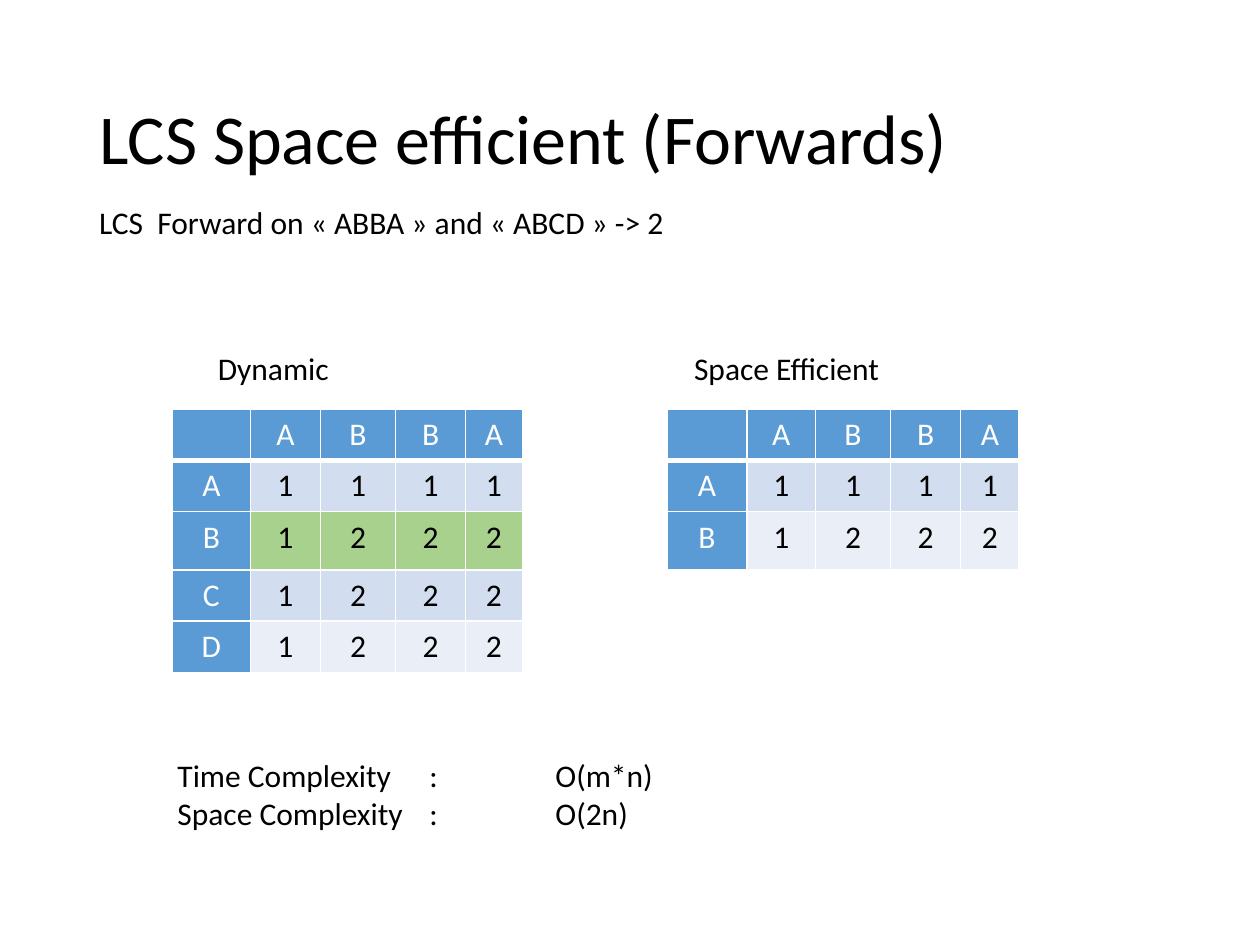
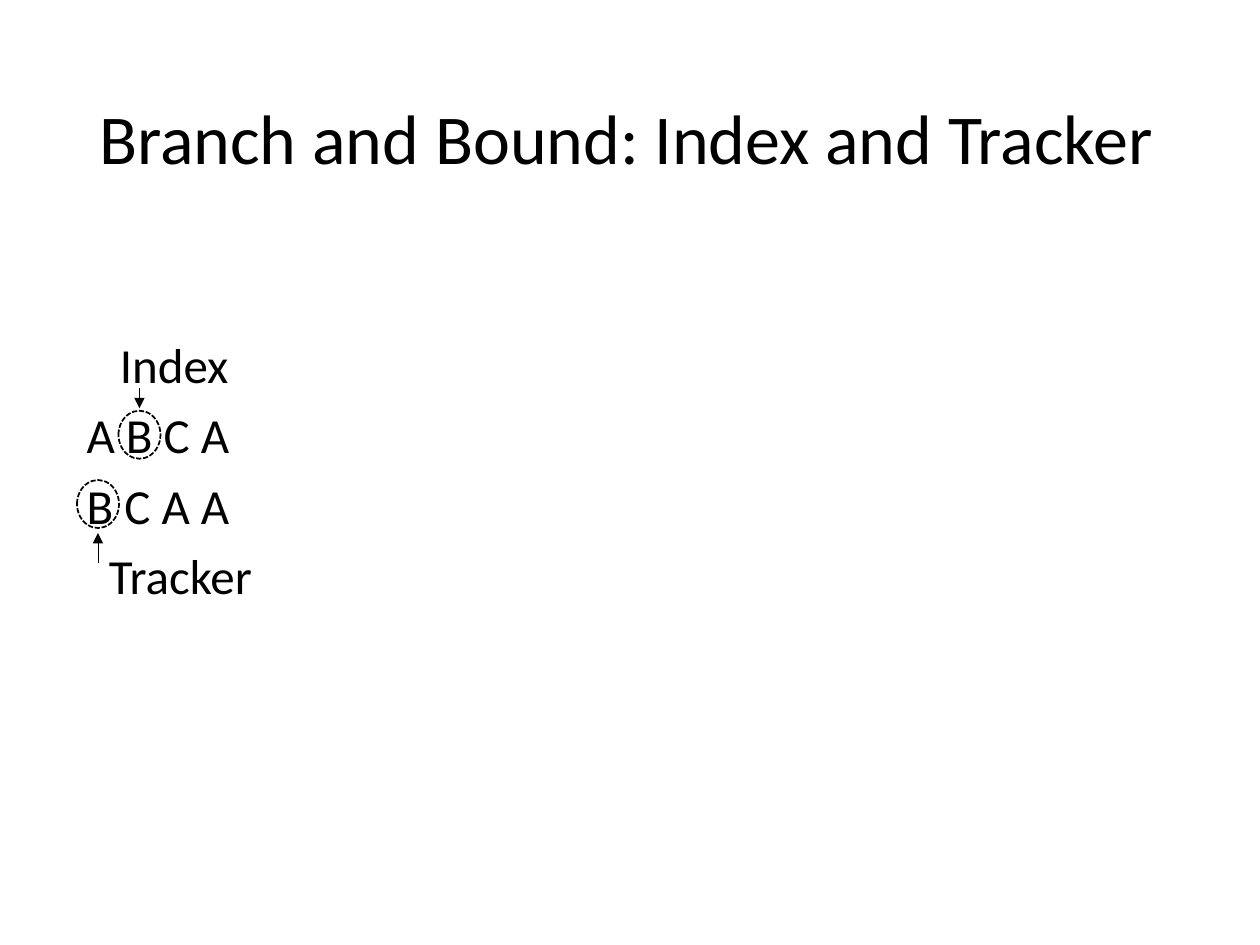
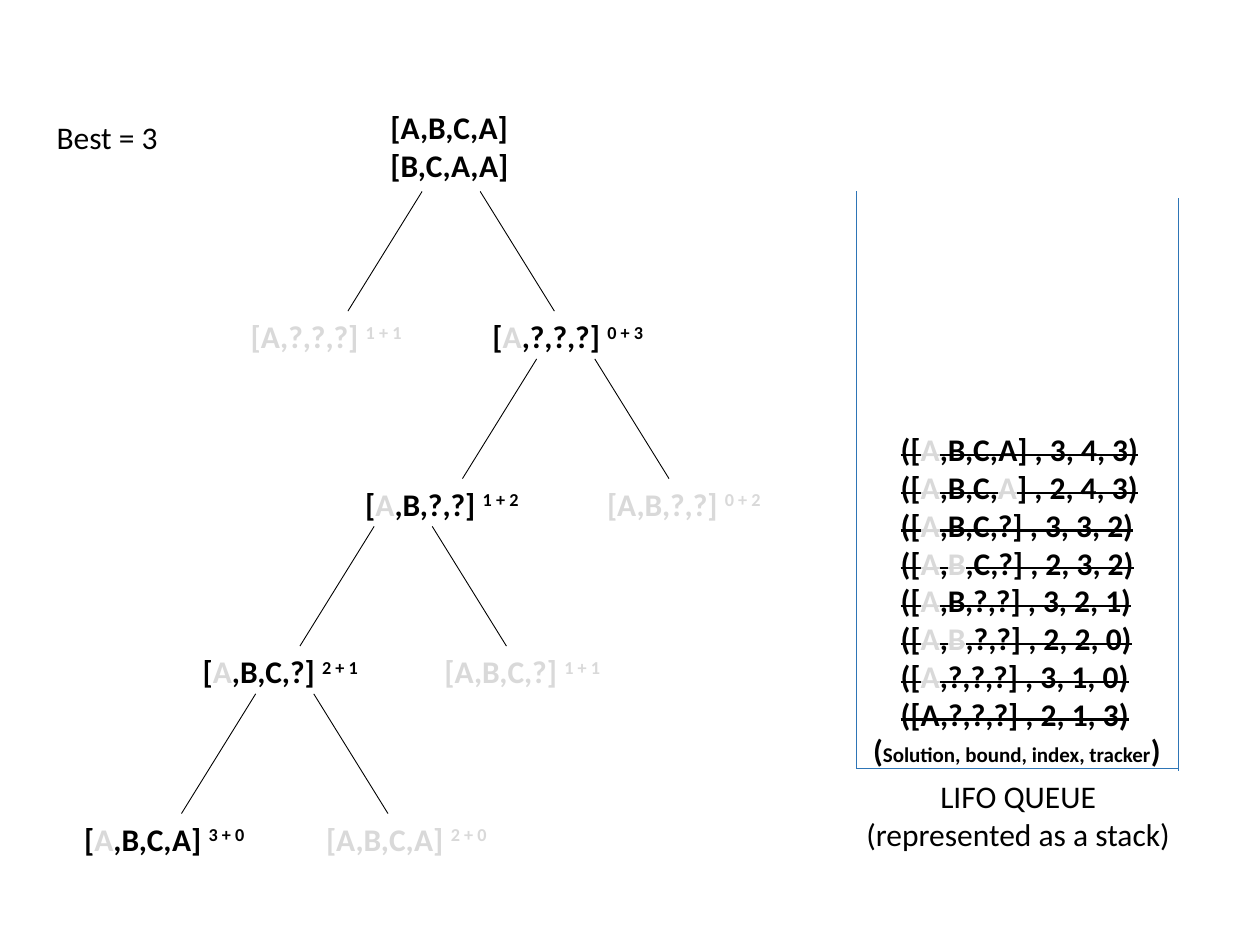
from lxml.etree import SubElement
from pptx import Presentation
from pptx.dml.color import RGBColor
from pptx.enum.dml import MSO_LINE
from pptx.enum.shapes import MSO_CONNECTOR, MSO_SHAPE
from pptx.enum.text import MSO_ANCHOR, MSO_AUTO_SIZE, PP_ALIGN
from pptx.oxml.ns import qn
from pptx.util import Pt

FONT = "Calibri"
BLACK = RGBColor(0x00, 0x00, 0x00)
WHITE = RGBColor(0xFF, 0xFF, 0xFF)
GREY = RGBColor(0xD9, 0xD9, 0xD9)
HEADER_BLUE = RGBColor(0x5B, 0x9B, 0xD5)
BAND_DARK = RGBColor(0xD2, 0xDE, 0xEF)
BAND_LIGHT = RGBColor(0xEA, 0xEF, 0xF7)
HIGHLIGHT = RGBColor(0xA9, 0xD1, 0x8E)
QUEUE_BLUE = RGBColor(0x2E, 0x75, 0xB6)

TITLE_ONLY, TITLE_AND_BODY, BLANK = 5, 1, 6


def style_font(font, size=18, color=BLACK, bold=False):
    """Apply the deck's font settings."""
    font.name, font.size, font.bold = FONT, Pt(size), bold
    font.color.rgb = color


def place(shape, left, top, width, height):
    """Move and size a shape, in points."""
    shape.left, shape.top = Pt(left), Pt(top)
    shape.width, shape.height = Pt(width), Pt(height)


def add_title(slide, title):
    """Fill and format the title placeholder."""
    place(slide.shapes.title, 49.5, 28.8, 621, 104.4)
    frame = slide.shapes.title.text_frame
    frame.text = title
    frame.auto_size = MSO_AUTO_SIZE.NONE
    frame.vertical_anchor = MSO_ANCHOR.MIDDLE
    heading = frame.paragraphs[0]
    heading.alignment, heading.line_spacing = PP_ALIGN.LEFT, 0.9
    style_font(heading.runs[0].font, 40)


def add_label(slide, left, top, width, height, text="", align=PP_ALIGN.LEFT):
    """Add a plain text box and return its text frame."""
    box = slide.shapes.add_textbox(Pt(left), Pt(top), Pt(width), Pt(height))
    frame = box.text_frame
    frame.word_wrap = True
    if align == PP_ALIGN.LEFT:
        frame.margin_right = 0
    frame.text = text
    for paragraph in frame.paragraphs:
        paragraph.alignment = align
        for run in paragraph.runs:
            style_font(run.font)
    return frame


def add_run(paragraph, text, size=18, color=BLACK, **marks):
    """Append a bold run with optional run marks such as strike or baseline."""
    run = paragraph.add_run()
    run.text = text
    style_font(run.font, size, color, bold=True)
    for mark, value in marks.items():
        run.font._element.set(mark, value)


def write_solution(paragraph, notation, **marks):
    """Write a solution: ~ switches grey on and off, ^ starts the raised bound."""
    solution, _, bound = notation.partition("^")
    color = BLACK
    for index, piece in enumerate(solution.split("~")):
        color = GREY if index % 2 else BLACK
        if piece:
            add_run(paragraph, piece, color=color, **marks)
    if bound:
        add_run(paragraph, bound, color=color, baseline="30000")


def add_line(slide, start, end, color=BLACK, arrow=False):
    """Draw a thin line, with an arrowhead at its end if wanted."""
    line = slide.shapes.add_connector(
        MSO_CONNECTOR.STRAIGHT, *(Pt(value) for value in (*start, *end)))
    line.line.color.rgb = color
    line.line.width = Pt(0.5)
    if arrow:
        SubElement(line.line._get_or_add_ln(), qn("a:tailEnd"), type="triangle")
    SubElement(line._element.spPr, qn("a:effectLst"))


def set_borders(cell, bottom):
    """Give a cell white borders with the stated bottom width."""
    properties = cell._tc.get_or_add_tcPr()
    for side, width in (("L", 1), ("R", 1), ("T", 1), ("B", bottom)):
        border = SubElement(properties, qn(f"a:ln{side}"), w=str(Pt(width)))
        fill = SubElement(border, qn("a:solidFill"))
        SubElement(fill, qn("a:srgbClr"), val=str(WHITE))


def add_lcs_table(slide, left, top, widths, heights, rows, highlighted=None):
    """Add an LCS score table with header row and header column."""
    table = slide.shapes.add_table(
        len(rows), len(widths), Pt(left), Pt(top),
        Pt(sum(widths)), Pt(sum(heights))).table
    for column, width in zip(table.columns, widths):
        column.width = Pt(width)
    for r, (letters, height) in enumerate(zip(rows, heights)):
        table.rows[r].height = Pt(height)
        band = BAND_DARK if r % 2 else BAND_LIGHT
        if r == highlighted:
            band = HIGHLIGHT
        for c, letter in enumerate(letters):
            cell = table.cell(r, c)
            heading = r == 0 or c == 0
            set_borders(cell, 3 if r == 0 else 1)
            cell.fill.solid()
            cell.fill.fore_color.rgb = HEADER_BLUE if heading else band
            cell.text = letter.strip()
            paragraph = cell.text_frame.paragraphs[0]
            paragraph.alignment = PP_ALIGN.CENTER
            for run in paragraph.runs:
                style_font(run.font, color=WHITE if heading else BLACK)


def add_complexities(slide, left, top, width, height):
    """List the complexities in tabbed columns."""
    frame = add_label(slide, left, top, width, height,
                      "Time Complexity\t:\tO(m*n)\nSpace Complexity\t:\tO(2n)")
    for paragraph in frame.paragraphs:
        stops = SubElement(paragraph._p.get_or_add_pPr(), qn("a:tabLst"))
        for stop in (144, 216):
            SubElement(stops, qn("a:tab"), pos=str(Pt(stop)), algn="l")


def build_forwards(deck):
    """Slide comparing the dynamic and the space efficient tables."""
    slide = deck.slides.add_slide(deck.slide_layouts[TITLE_ONLY])
    add_title(slide, "LCS Space efficient (Forwards)")
    add_label(slide, 49.5, 112.3, 387.4, 29,
              "LCS  Forward on «\u00a0ABBA\u00a0» and «\u00a0ABCD\u00a0» -> 2")
    scores = [" ABBA", "A1111", "B1222", "C1222", "D1222"]
    heights = [29.2, 29.2, 33.4, 29.2, 29.2]
    add_lcs_table(slide, 381, 234, [46, 39, 43, 40, 33.5], heights[:3], scores[:3])
    add_lcs_table(slide, 98.5, 234, [44.6, 40, 43, 40, 32.4], heights, scores,
                  highlighted=2)
    add_complexities(slide, 94.3, 428.4, 625, 51)
    add_label(slide, 117.4, 195.8, 82.8, 29, "Dynamic")
    add_label(slide, 389.5, 195.8, 121.7, 29, "Space Efficient")


def add_sequences(body, left, top, width, height):
    """Write the two sequences and their captions in the body placeholder."""
    place(body, left, top, width, height)
    lines = [("Index", 25.3), ("A B C A", 6.3), ("B C A A", 6.3), ("Tracker", 19)]
    frame = body.text_frame
    frame.text = "\n".join(text for text, _ in lines)
    frame.auto_size = MSO_AUTO_SIZE.NONE
    frame.margin_top = Pt(44.3)
    for paragraph, (_, indent) in zip(frame.paragraphs, lines):
        paragraph.line_spacing, paragraph.space_before = 0.9, Pt(10)
        properties = paragraph._p.get_or_add_pPr()
        properties.set("marL", str(Pt(indent)))
        properties.set("indent", "0")
        SubElement(properties, qn("a:buNone"))
        style_font(paragraph.runs[0].font, 28)


def add_pointer(slide, left, top, arrow_start, arrow_end):
    """Ring a letter and point at it; arrow heights are relative to the ring."""
    width, height = 24, 27.4
    center = left + width / 2
    add_line(slide, (center, top + arrow_start), (center, top + arrow_end), arrow=True)
    ring = slide.shapes.add_shape(
        MSO_SHAPE.OVAL, Pt(left), Pt(top), Pt(width), Pt(height))
    ring.shadow.inherit = False
    ring.fill.background()
    ring.line.color.rgb = BLACK
    ring.line.width = Pt(1)
    ring.line.dash_style = MSO_LINE.SQUARE_DOT


def build_index_and_tracker(deck):
    """Slide showing what index and tracker point at."""
    slide = deck.slides.add_slide(deck.slide_layouts[TITLE_AND_BODY])
    add_title(slide, "Branch and Bound: Index and Tracker")
    add_sequences(slide.placeholders[1], 36, 150.5, 121.7, 342.7)
    add_pointer(slide, 67.7, 234.7, -13, -1.4)
    add_pointer(slide, 44, 274.3, 47.5, 30.3)


def add_tree(slide, left, top):
    """Draw the search tree, one fork with two branches per level."""
    root = add_label(slide, left + 175, top, 82, 51, "[A,B,C,A]\n[B,C,A,A]")
    for paragraph in root.paragraphs:
        paragraph.runs[0].font.bold = True
    levels = [
        (216.8, "~[A,?,?,?] ^1 + 1", "[~A~,?,?,?] ^0 + 3"),
        (282.3, "[~A~,B,?,?] ^1 + 2", "~[A,B,?,?] ^0 + 2"),
        (189.4, "[~A~,B,C,?] ^2 + 1", "~[A,B,C,?] ^1 + 1"),
        (121.7, "[~A~,B,C,A] ^3 + 0", "~[A,B,C,A] ^2 + 0"),
    ]
    pitch, drop, gap, reach = 95.7, 68.4, 16.6, 59
    for level, (offset, *branches) in enumerate(levels):
        fork = left + offset
        row = top + 119.5 + pitch * level
        for side, shift, notation in zip((-1, 1), (-121.7, 16.5), branches):
            add_line(slide, (fork + side * gap, row - drop),
                     (fork + side * reach, row))
            frame = add_label(slide, fork + shift, row, 110, 51)
            write_solution(frame.paragraphs[0], notation)


def add_queue(slide, left, top, width, height):
    """Draw the queue as an open container with its struck entries."""
    right, bottom = left + width, top + height
    add_line(slide, (left, top), (left, bottom), QUEUE_BLUE)
    add_line(slide, (right, top + 4), (right, bottom + 1.4), QUEUE_BLUE)
    add_line(slide, (left, bottom), (right, bottom), QUEUE_BLUE)
    add_label(slide, left - 2.6, bottom + 1.4, 190, 51,
              "LIFO QUEUE\n(represented as a stack)", PP_ALIGN.CENTER)
    legend = add_label(slide, left + 2.4, bottom - 25.2, 181.4, 51).paragraphs[0]
    for text, size in (("(", 18), ("Solution, bound, index, tracker", 12), (")", 18)):
        add_run(legend, text, size)
    entries = [
        "([~A~,B,C,A] , 3, 4, 3)",
        "([~A~,B,C,~A~] , 2, 4, 3)",
        "([~A~,B,C,?] , 3, 3, 2)",
        "([~A~,~B~,C,?] , 2, 3, 2)",
        "([~A~,B,?,?] , 3, 2, 1)",
        "([~A~,~B~,?,?] , 2, 2, 0)",
        "([~A~,?,?,?] , 3, 1, 0)",
        "([A,?,?,?] , 2, 1, 3)",
    ]
    stack = add_label(slide, left + 18.2, top + 1.5, 152, 312.5)
    stack.margin_top = Pt(135)
    for index, entry in enumerate(entries):
        paragraph = stack.add_paragraph() if index else stack.paragraphs[0]
        write_solution(paragraph, entry, strike="sngStrike")


def build_search(deck):
    """Slide with the finished search tree and its queue."""
    slide = deck.slides.add_slide(deck.slide_layouts[BLANK])
    add_tree(slide, 41, 58.3)
    add_queue(slide, 489.4, 109.4, 183.8, 329.8)
    add_label(slide, 25.2, 64, 72.7, 29, "Best = 3")


def main():
    """Build the deck and save it."""
    deck = Presentation()
    deck.slide_width, deck.slide_height = Pt(720), Pt(540)
    build_forwards(deck)
    build_index_and_tracker(deck)
    build_search(deck)
    deck.save("out.pptx")


main()
